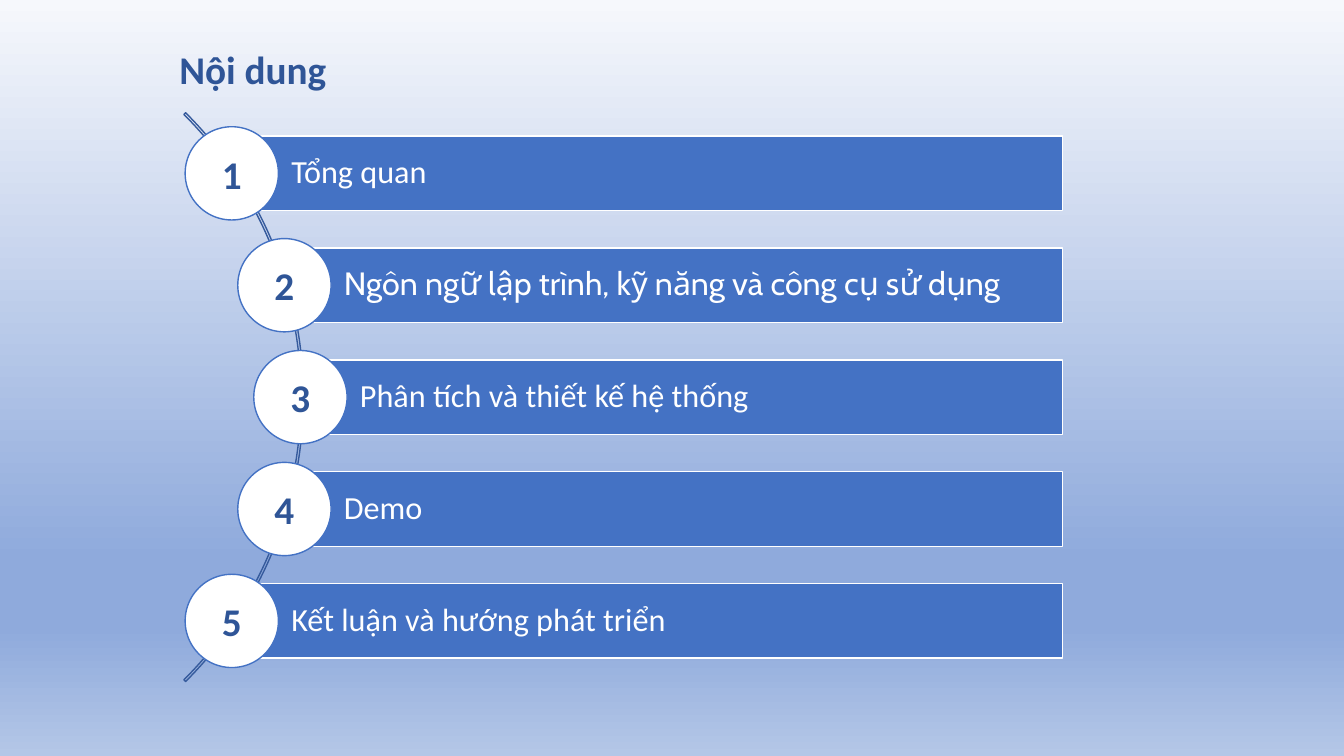
import math

from lxml import etree
from pptx import Presentation
from pptx import util as u
from pptx.dml.color import RGBColor
from pptx.enum import shapes, text
from pptx.oxml.ns import qn

COLORS = {
    "bar": "4472C4",
    "arc": "365B9D",
    "accent": "2F5597",
    "white": "FFFFFF",
}
BACKGROUND_STOPS = [(0, "F6F8FC"), (74, "8FAADC"), (83, "8FAADC"), (100, "B4C7E7")]
TOPICS = [
    ("Tổng quan", "Calibri"),
    ("Ngôn ngữ lập trình, kỹ năng và công cụ sử dụng", "Cabin"),
    ("Phân tích và thiết kế hệ thống", "Calibri"),
    ("Demo", "Calibri"),
    ("Kết luận và hướng phát triển", "Calibri"),
]


def color(name):
    return RGBColor.from_string(COLORS[name])


def paint_background(slide):
    fill = slide.background.fill
    fill.gradient()
    fill.gradient_angle = 270
    stops = slide.background._cSld.find(".//" + qn("a:gsLst"))
    for stop in list(stops):
        stops.remove(stop)
    for position, value in BACKGROUND_STOPS:
        stop = etree.SubElement(stops, qn("a:gs"), pos=str(position * 1000))
        etree.SubElement(stop, qn("a:srgbClr"), val=value)


def add_outlined(slide, kind, box, fill, line):
    shape = slide.shapes.add_shape(kind, *map(u.Inches, box))
    shape.shadow.inherit = False
    if fill:
        shape.fill.solid()
        shape.fill.fore_color.rgb = color(fill)
    else:
        shape.fill.background()
    shape.line.color.rgb = color(line)
    shape.line.width = u.Pt(1)
    return shape


def write(shape, words, size, ink, font="Calibri", bold=False, align=text.PP_ALIGN.LEFT):
    paragraph = shape.text_frame.paragraphs[0]
    paragraph.alignment = align
    run = paragraph.add_run()
    run.text = words
    run.font.name = font
    run.font.size = u.Pt(size)
    run.font.bold = bold
    run.font.color.rgb = color(ink)
    return paragraph


def set_insets(shape, left, other):
    frame = shape.text_frame
    frame.word_wrap = True
    frame.vertical_anchor = text.MSO_ANCHOR.MIDDLE
    frame.margin_left = u.Inches(left)
    frame.margin_top = frame.margin_right = frame.margin_bottom = u.Inches(other)


def add_title(slide, box):
    title = slide.shapes.add_textbox(*map(u.Inches, box))
    title.text_frame.word_wrap = True
    write(title, "Nội dung", 28, "accent", bold=True)


def add_topic(slide, box, number, words, font):
    left, top, width, height = box
    bar = add_outlined(slide, shapes.MSO_SHAPE.RECTANGLE, box, "bar", "white")
    set_insets(bar, 0.59, 0.06)
    write(bar, words, 23, "white", font).line_spacing = 0.9

    diameter = 1.25 * height
    badge_box = (left - diameter / 2, top + (height - diameter) / 2, diameter, diameter)
    badge = add_outlined(slide, shapes.MSO_SHAPE.OVAL, badge_box, "white", "bar")
    set_insets(badge, 0, 0)
    write(badge, str(number), 28, "accent", bold=True, align=text.PP_ALIGN.CENTER)


def add_agenda(slide, arc_box, right, pitch, bar_height):
    left, top, diameter, _ = arc_box
    arc = add_outlined(slide, shapes.MSO_SHAPE.BLOCK_ARC, arc_box, None, "arc")
    for index, value in enumerate((189, 27, 0.003)):
        arc.adjustments[index] = value

    center_x, center_y = left + diameter / 2, top + diameter / 2
    orbit = 3.96
    for index, (words, font) in enumerate(TOPICS):
        offset = (index - (len(TOPICS) - 1) / 2) * pitch
        x = center_x + math.sqrt(orbit ** 2 - offset ** 2)
        box = (x, center_y + offset - bar_height / 2, right - x, bar_height)
        add_topic(slide, box, index + 1, words, font)


def main():
    presentation = Presentation()
    presentation.slide_width = u.Inches(13.33)
    presentation.slide_height = u.Inches(7.5)
    slide = presentation.slides.add_slide(presentation.slide_layouts[6])
    paint_background(slide)
    add_agenda(slide, (-4.97, -0.05, 7.98, 7.98), right=10.54, pitch=1.11, bar_height=0.74)
    add_title(slide, (1.68, 0.4, 3.89, 0.57))
    presentation.save("out.pptx")


if __name__ == "__main__":
    main()
